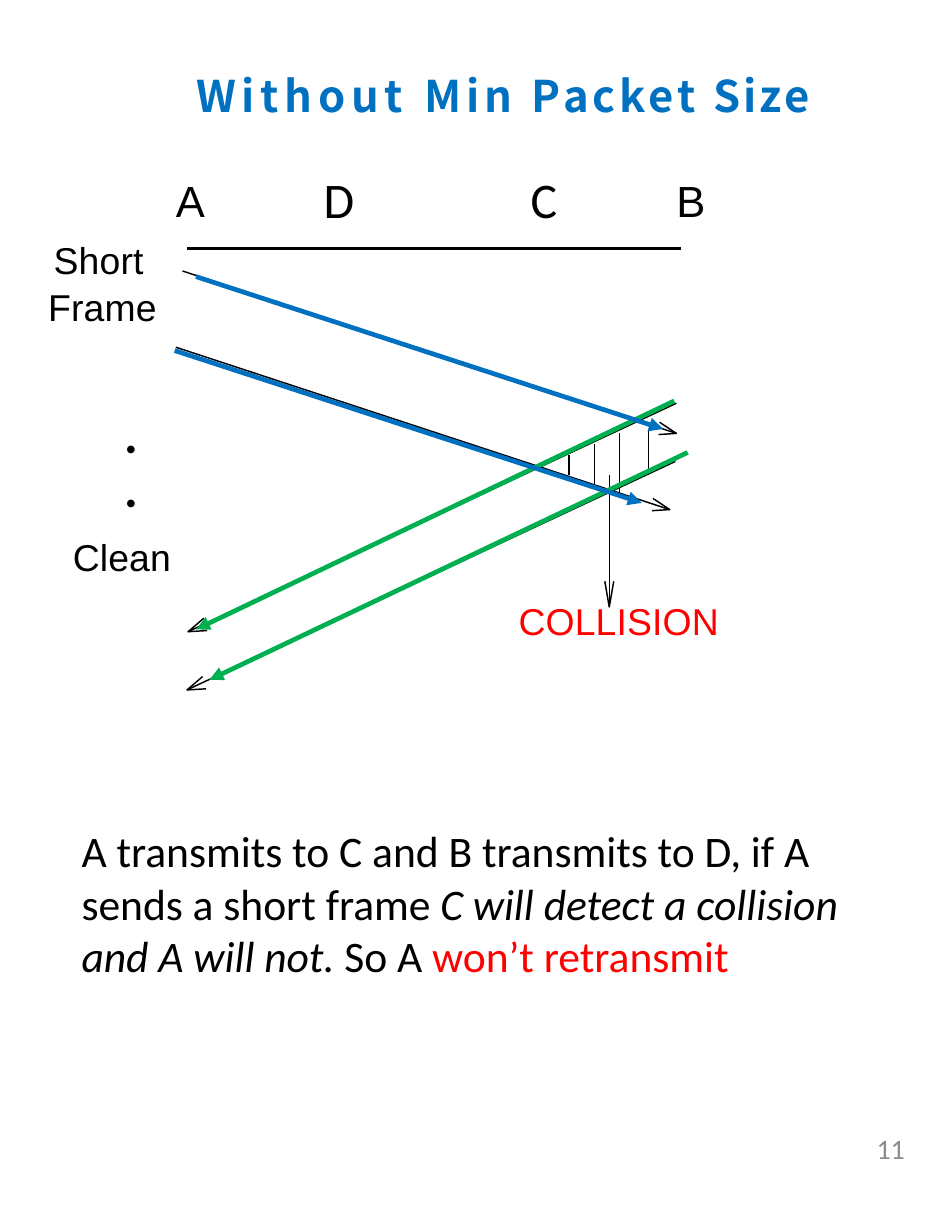
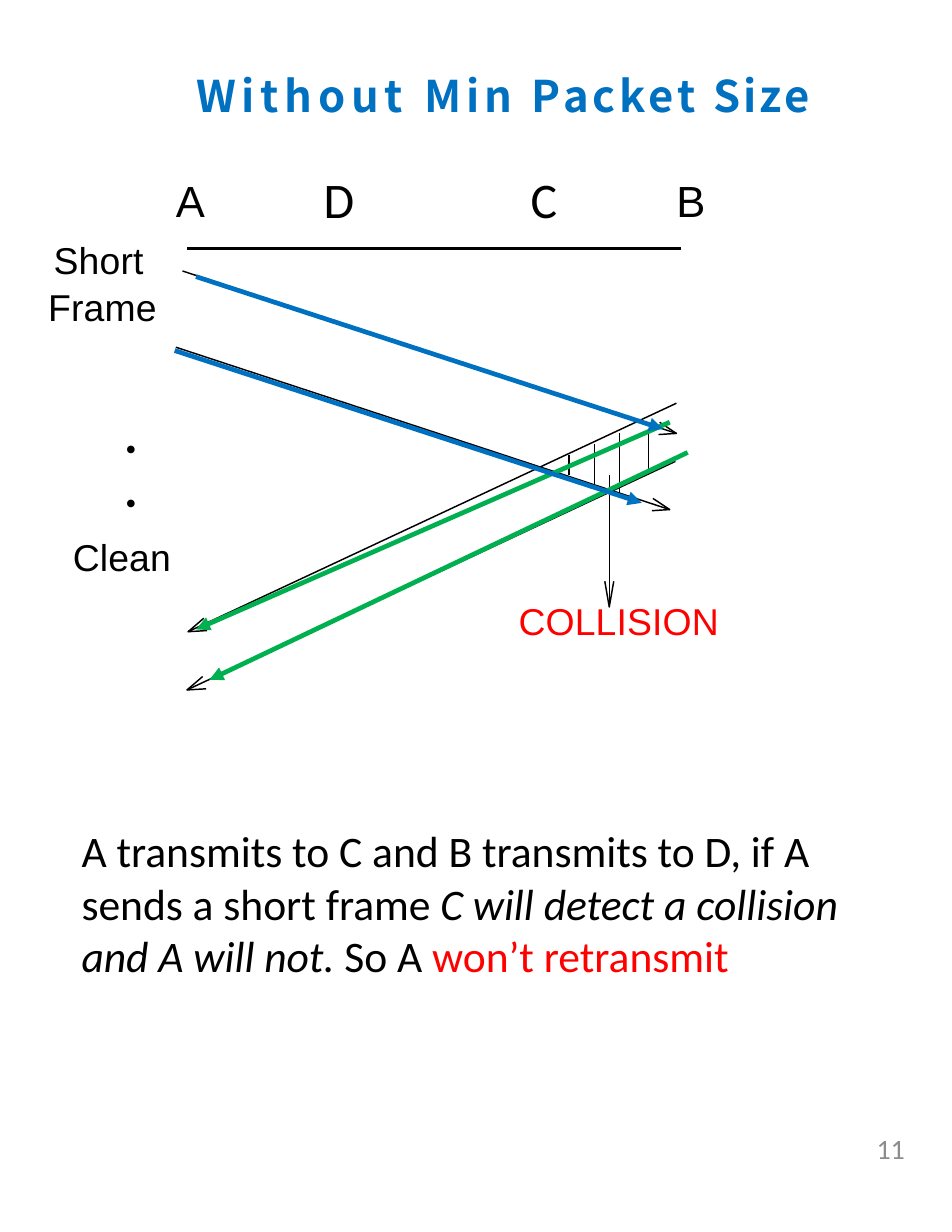
from lxml.etree import SubElement
from pptx import Presentation
from pptx.dml.color import RGBColor
from pptx.enum.shapes import MSO_CONNECTOR
from pptx.enum.text import MSO_AUTO_SIZE, PP_ALIGN
from pptx.oxml.ns import qn
from pptx.util import Inches, Pt

WIDTH, HEIGHT = Inches(8.5), Inches(11)
COLUMNS, ROWS = 8.5, 11
BLACK, BLUE, GREEN, RED, GRAY = "000000", "0070C0", "00B050", "FF0000", "8C8C8C"
TITLE_FONT, LABEL_FONT, BODY_FONT = "Noto Sans CJK TC", "Arial", "Calibri"
THIN, MEDIUM, THICK = 0.93, 1.86, 3
RIGHT_WINGS = ((-0.15, -0.1), (-0.16, 0.01))
LEFT_WINGS = ((0.17, -0.01), (0.14, -0.12))
DOWN_WINGS = ((0.04, -0.23), (-0.04, -0.23))


def color(value):
    """Turn a hex string into a colour."""
    return RGBColor.from_string(value)


def place(column, row):
    """Turn a grid position into slide lengths."""
    return round(WIDTH * column / COLUMNS), round(HEIGHT * row / ROWS)


def add_box(page, left, top, width, height, inset=True, wrap=True):
    """Add an empty text box and return its text frame."""
    frame = page.shapes.add_textbox(*place(left, top), *place(width, height)).text_frame
    frame.word_wrap = wrap
    frame.auto_size = MSO_AUTO_SIZE.SHAPE_TO_FIT_TEXT
    if not inset:
        frame.margin_left = frame.margin_right = 0
        frame.margin_top = frame.margin_bottom = 0
    return frame


def add_span(para, text, size, font=BODY_FONT, ink=BLACK, bold=False, italic=False, spacing=0):
    """Add one run, with letter spacing in points."""
    span = para.add_run()
    span.text = text
    span.font.size, span.font.name = Pt(size), font
    span.font.bold, span.font.italic = bold, italic
    span.font.color.rgb = color(ink)
    if spacing:
        span._r.get_or_add_rPr().set("spc", str(round(spacing * 100)))


def add_label(page, text, left, top, width, size=24, ink=BLACK):
    """Add a diagram label without insets."""
    frame = add_box(page, left, top, width, size / 60, inset=False)
    add_span(frame.paragraphs[0], text, size, LABEL_FONT, ink, spacing=0.1)


def add_line(page, start, end, ink=BLACK, weight=THIN, arrow=False):
    """Draw a straight line, with a filled head if asked."""
    line = page.shapes.add_connector(MSO_CONNECTOR.STRAIGHT, *place(*start), *place(*end))
    line.line.color.rgb = color(ink)
    line.line.width = Pt(weight)
    if arrow:
        SubElement(line.line._get_or_add_ln(), qn("a:tailEnd"), type="triangle")
    SubElement(line.element.spPr, qn("a:effectLst"))


def add_open_arrow(page, start, tip, wings):
    """Draw a thin line that ends in an open head."""
    add_line(page, start, tip)
    first, last = (place(tip[0] + across, tip[1] + down) for across, down in wings)
    builder = page.shapes.build_freeform(*first)
    builder.add_line_segments([place(*tip), last], close=False)
    head = builder.convert_to_shape()
    head.fill.background()
    head.line.color.rgb = color(BLACK)
    head.line.width = Pt(THIN)
    head.shadow.inherit = False


def add_title(page):
    """Write the title with tightening letter spacing."""
    para = add_box(page, 1.75, 0.62, 5.59, 0.47, inset=False).paragraphs[0]
    for text, spacing in (("Without ", 3.7), ("Min ", 3.1), ("Packet ", 2.6), ("Size", 1.8)):
        add_span(para, text, 28, TITLE_FONT, BLUE, bold=True, spacing=spacing)


def add_page_number(page, number):
    """Write the page number at the lower right."""
    para = add_box(page, 6.12, 10.23, 1.96, 0.55, inset=False).paragraphs[0]
    para.alignment, para.line_spacing = PP_ALIGN.RIGHT, Pt(12.3)
    add_span(para, number, 18, ink=GRAY, spacing=-0.1)


def add_timeline(page):
    """Draw the shared medium, the thin frame edges and the collision area."""
    add_line(page, (1.67, 2.22), (6.08, 2.22), weight=MEDIUM)
    for left, top in ((1.63, 2.42), (1.57, 3.1)):
        add_open_arrow(page, (left, top), (left + 4.41, top + 1.45), RIGHT_WINGS)
    for right, top in ((6.04, 3.6), (6.03, 4.12)):
        add_open_arrow(page, (right, top), (right - 4.36, top + 2.04), LEFT_WINGS)
    for across, top, bottom in ((5.53, 3.87, 4.4), (5.31, 3.96, 4.33),
                                (5.08, 4.06, 4.24), (5.79, 3.83, 4.24)):
        add_line(page, (across, top), (across, bottom))
    add_open_arrow(page, (5.44, 4.24), (5.44, 5.42), DOWN_WINGS)


def add_labels(page):
    """Name the stations and the events."""
    for text, left in (("A", 1.57), ("B", 6.04)):
        add_label(page, text, left, 1.55, 0.25, size=28)
    add_label(page, "COLLISION", 4.63, 5.34, 2.03, ink=RED)
    add_label(page, "Clean", 0.65, 4.77, 0.97)
    add_label(page, "Short", 0.48, 2.12, 0.93)
    add_label(page, "Frame", 0.43, 2.54, 1.14)
    for text, left, width in (("C", 4.64, 0.44), ("D", 2.79, 0.48)):
        frame = add_box(page, left, 1.46, width, 0.64, wrap=False)
        add_span(frame.paragraphs[0], text, 32)


def add_dots(page):
    """Add the two dots that stand for time passing."""
    frame = add_box(page, 1.12, 3.83, 0.4, 0.84, inset=False)
    second = frame.add_paragraph()
    second.line_spacing, second.space_before = Pt(21.5), Pt(13.1)
    for para in frame.paragraphs:
        add_span(para, "•", 20.5, "Times New Roman", spacing=3.1)


def add_explanation(page):
    """Explain why the sender misses the collision."""
    para = add_box(page, 0.63, 7.31, 7.6, 1.51).paragraphs[0]
    add_span(para, "A transmits to C and B transmits to D, if A sends a short frame ", 28)
    add_span(para, "C will detect a collision and A will not. ", 28, italic=True)
    add_span(para, "So A ", 28)
    add_span(para, "won’t retransmit", 28, ink=RED)


def add_frames(page, reply_start):
    """Draw the thick edges of both frames."""
    add_line(page, reply_start, (1.75, 5.62), GREEN, THICK, arrow=True)
    add_line(page, (6.14, 4.04), (1.87, 6.07), GREEN, THICK, arrow=True)
    for left, top in ((1.75, 2.47), (1.56, 3.13)):
        add_line(page, (left, top), (left + 4.17, top + 1.36), BLUE, THICK, arrow=True)


def main():
    """Build the deck."""
    deck = Presentation()
    deck.slide_width, deck.slide_height = WIDTH, HEIGHT
    for reply_start in ((6.02, 3.58), (5.98, 3.77)):
        page = deck.slides.add_slide(deck.slide_layouts[6])
        add_title(page)
        add_page_number(page, "11")
        add_timeline(page)
        add_labels(page)
        add_dots(page)
        add_explanation(page)
        add_frames(page, reply_start)
    deck.save("out.pptx")


if __name__ == "__main__":
    main()
